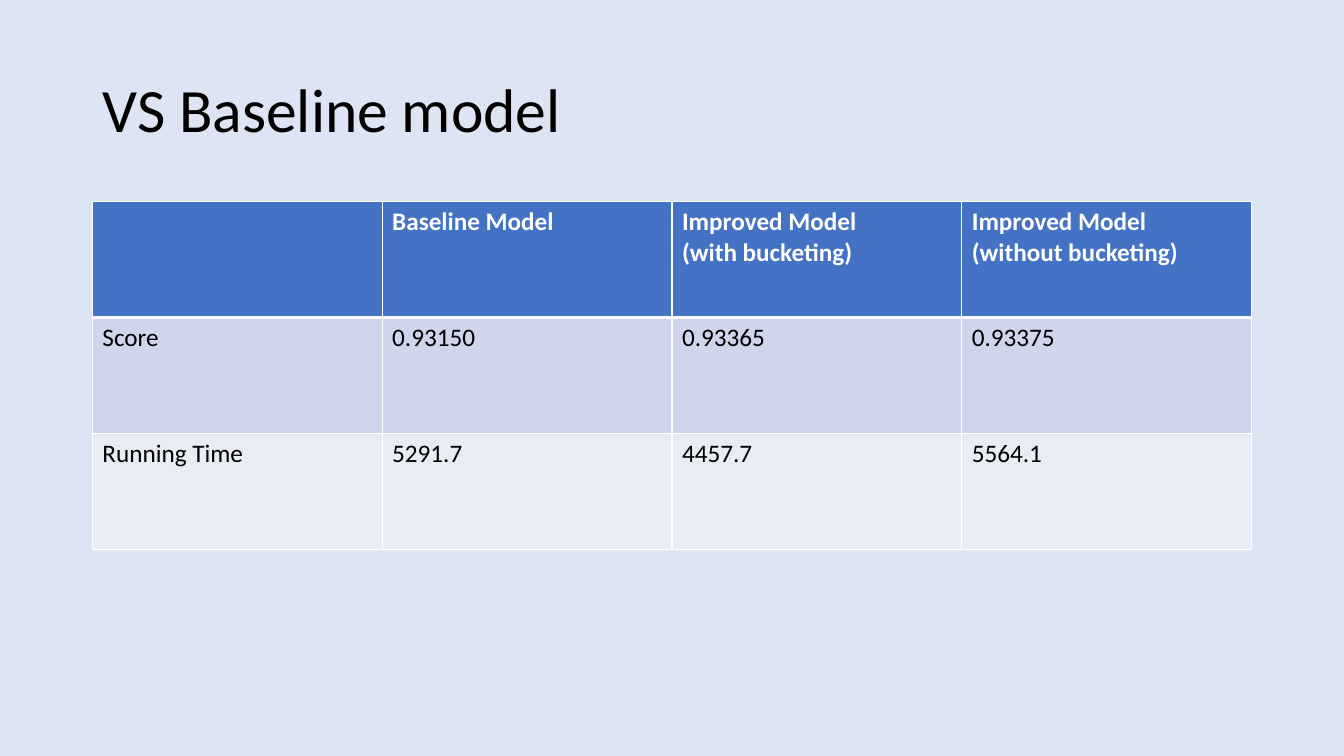
from dataclasses import dataclass

from lxml.etree import SubElement as Sub
from pptx import Presentation
from pptx.dml.color import RGBColor as Rgb
from pptx.enum.text import MSO_ANCHOR as Anchor, PP_ALIGN as Align
from pptx.oxml.ns import qn
from pptx.util import Pt

PX = 9525


@dataclass(frozen=True)
class Theme:
    font: str = "Calibri"
    back: str = "DDE5F4"
    ink: str = "000000"
    white: str = "FFFFFF"
    head: str = "4472C4"
    bands: tuple = ("CFD5EA", "E9EBF5")
    title: int = 44
    body: int = 18
    thin: int = 1
    thick: int = 3


THEME = Theme()
TITLE_BOX = (88, 38, 1104, 139)
TABLE_BOX = (88, 192, 1104, 331)
ROWS = [
    ["", "Baseline Model", "Improved Model\n(with bucketing)",
     "Improved Model\n(without bucketing)"],
    ["Score", "0.93150", "0.93365", "0.93375"],
    ["Running Time", "5291.7", "4457.7", "5564.1"],
]


def style(frame, size, color, bold=False):
    for par in frame.paragraphs:
        par.alignment = Align.LEFT
        for run in par.runs:
            font = run.font
            font.name, font.size, font.bold = THEME.font, Pt(size), bold
            font.color.rgb = Rgb.from_string(color)


def edge(cell, side, width):
    """Draw one white border; sides must come in the order L, R, T, B."""
    line = Sub(cell._tc.get_or_add_tcPr(), qn(f"a:ln{side}"), w=str(Pt(width)))
    fill = Sub(line, qn("a:solidFill"))
    Sub(fill, qn("a:srgbClr"), val=THEME.white)


def add_title(slide, box, text):
    title = slide.shapes.title
    title.left, title.top, title.width, title.height = (n * PX for n in box)
    frame = title.text_frame
    frame.text = text
    frame.vertical_anchor = Anchor.MIDDLE
    frame.paragraphs[0].line_spacing = 0.9
    style(frame, THEME.title, THEME.ink)


def fill_cell(cell, text, row):
    head = row == 0
    cell.text_frame.text = text
    style(cell.text_frame, THEME.body, THEME.white if head else THEME.ink, head)
    edge(cell, "L", THEME.thin)
    edge(cell, "R", THEME.thin)
    edge(cell, "T", THEME.thick if row == 1 else THEME.thin)
    edge(cell, "B", THEME.thick if head else THEME.thin)
    cell.fill.solid()
    color = THEME.head if head else THEME.bands[(row - 1) % 2]
    cell.fill.fore_color.rgb = Rgb.from_string(color)


def add_grid(slide, box, rows):
    area = [n * PX for n in box]
    table = slide.shapes.add_table(len(rows), len(rows[0]), *area).table
    for r, row in enumerate(rows):
        for c, text in enumerate(row):
            fill_cell(table.cell(r, c), text, r)


def main():
    deck = Presentation()
    deck.slide_width, deck.slide_height = 1280 * PX, 720 * PX
    slide = deck.slides.add_slide(deck.slide_layouts[5])
    back = slide.background.fill
    back.solid()
    back.fore_color.rgb = Rgb.from_string(THEME.back)
    add_title(slide, TITLE_BOX, "VS Baseline model")
    add_grid(slide, TABLE_BOX, ROWS)
    deck.save("out.pptx")


if __name__ == "__main__":
    main()
